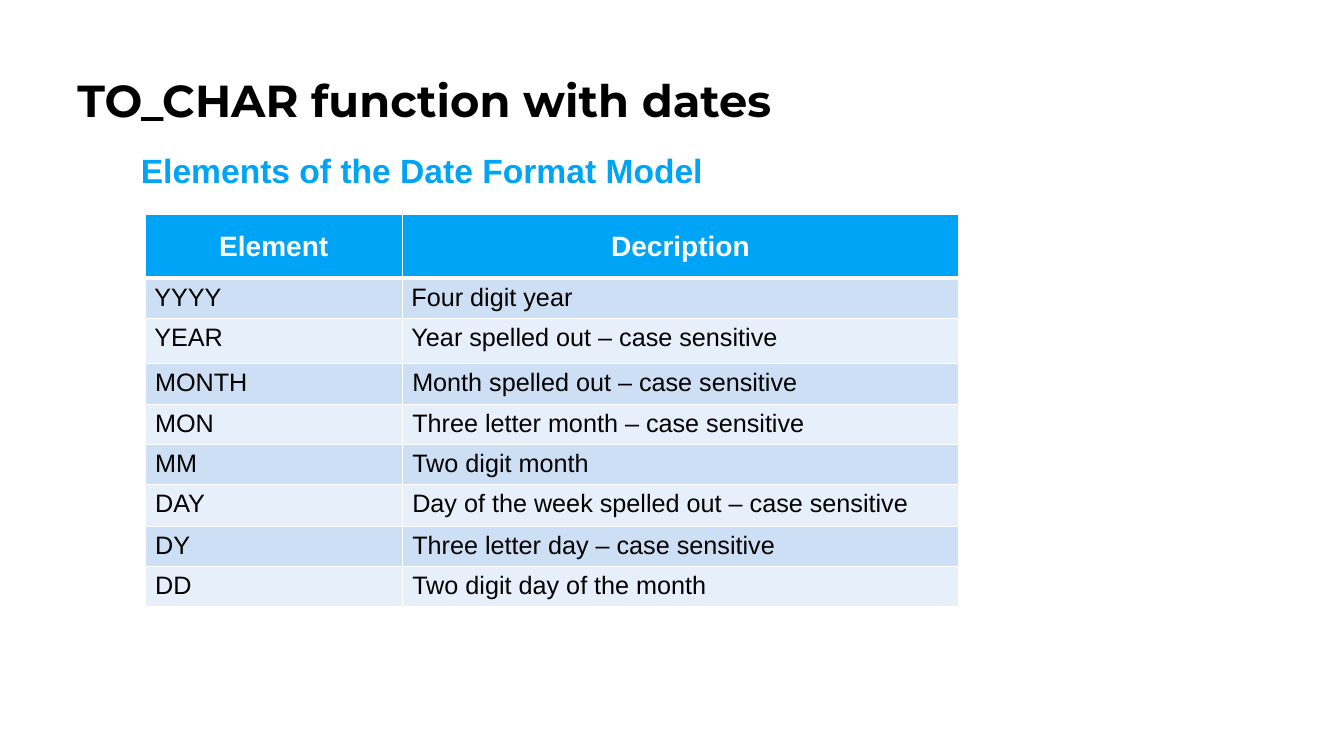
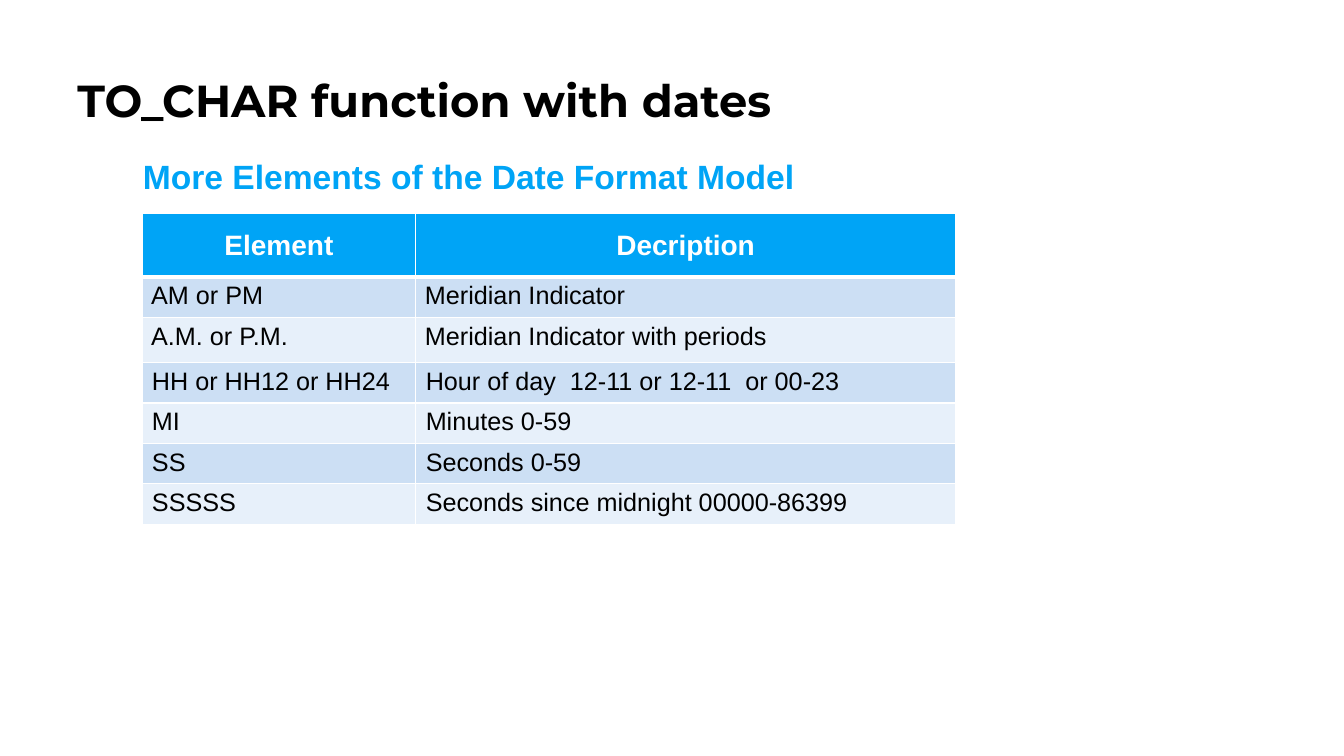
"""Build two slides listing the date format elements of TO_CHAR."""
import pptx
import pptx.dml.color
import pptx.enum.text
import pptx.oxml
import pptx.oxml.ns
import pptx.util
from pptx.util import Cm

COLORS = {"title": "000000", "accent": "00A4F6", "header_text": "FFFFFF", "body": "000000",
          "border": "FFFFFF", "band_dark": "CCDFF4", "band_light": "E7F0FA"}
TITLE = "TO_CHAR function with dates"
TITLE_BOX = (1.7, 1.7, 30.56, 1.63)
HEADER = ("Element", "Decription")
ROW_HEIGHTS = (1.6, 0.96, 1.14, 0.96, 0.96, 0.96, 1.04, 1.02, 0.98)
SLIDES = [
    {
        "subtitle": "Elements of the Date Format Model",
        "subtitle_box": (3.3, 3.56, 30.56, 1.27),
        "table_corner": (3.66, 5.41),
        "column_widths": (6.48, 14.02),
        "rows": [
            ("YYYY", "Four digit year"),
            ("YEAR", "Year spelled out – case sensitive"),
            ("MONTH", "Month spelled out – case sensitive"),
            ("MON", "Three letter month – case sensitive"),
            ("MM", "Two digit month"),
            ("DAY", "Day of the week spelled out – case sensitive"),
            ("DY", "Three letter day – case sensitive"),
            ("DD", "Two digit day of the month"),
        ],
    },
    {
        "subtitle": "More Elements of the Date Format Model",
        "subtitle_box": (3.35, 3.71, 20.5, 1.27),
        "table_corner": (3.58, 5.38),
        "column_widths": (6.9, 13.6),
        "rows": [
            ("AM or PM", "Meridian Indicator"),
            ("A.M. or P.M.", "Meridian Indicator with periods"),
            ("HH or HH12 or HH24", "Hour of day  12-11 or 12-11  or 00-23"),
            ("MI", "Minutes 0-59"),
            ("SS", "Seconds 0-59"),
            ("SSSSS", "Seconds since midnight 00000-86399"),
        ],
    },
]


def rgb(name):
    return pptx.dml.color.RGBColor.from_string(COLORS[name])


def style_font(paragraph, name, size, color, bold):
    font = paragraph.font
    font.name, font.size, font.bold = name, pptx.util.Pt(size), bold
    font.color.rgb = rgb(color)


def add_text(slide, box, text, name, size, color):
    frame = slide.shapes.add_textbox(*map(Cm, box)).text_frame
    frame.word_wrap = True
    paragraph = frame.paragraphs[0]
    paragraph.text = text
    style_font(paragraph, name, size, color, True)
    return paragraph


def add_borders(cell, top, bottom):
    properties = cell._tc.get_or_add_tcPr()
    for side, points in (("L", 1), ("R", 1), ("T", top), ("B", bottom)):
        properties.append(pptx.oxml.parse_xml(
            f'<a:ln{side} {pptx.oxml.ns.nsdecls("a")} w="{pptx.util.Pt(points)}"><a:solidFill>'
            f'<a:srgbClr val="{COLORS["border"]}"/></a:solidFill></a:ln{side}>'))


def style_cell(cell, text, row_index):
    cell.text = text
    paragraph = cell.text_frame.paragraphs[0]
    is_header = row_index == 0
    add_borders(cell, 3 if row_index == 1 else 1, 3 if is_header else 1)
    cell.margin_left = cell.margin_right = Cm(0.23 if row_index <= 2 else 0.25)
    cell.fill.solid()
    if is_header:
        fill = "accent"
        cell.vertical_anchor = pptx.enum.text.MSO_ANCHOR.MIDDLE
        paragraph.alignment = pptx.enum.text.PP_ALIGN.CENTER
        style_font(paragraph, "Arial", 20, "header_text", True)
    else:
        fill = "band_dark" if row_index % 2 else "band_light"
        style_font(paragraph, "Arial", 18, "body", False)
    cell.fill.fore_color.rgb = rgb(fill)


def add_element_table(slide, corner, column_widths, rows):
    rows = [HEADER, *rows]
    heights = ROW_HEIGHTS[:len(rows)]
    table = slide.shapes.add_table(len(rows), len(HEADER), *map(Cm, corner),
                                   Cm(sum(column_widths)), Cm(sum(heights))).table
    table.horz_banding = False
    for column, width in zip(table.columns, column_widths):
        column.width = Cm(width)
    for row_index, (row, height, texts) in enumerate(zip(table.rows, heights, rows)):
        row.height = Cm(height)
        for cell, text in zip(row.cells, texts):
            style_cell(cell, text, row_index)


def main():
    presentation = pptx.Presentation()
    presentation.slide_width, presentation.slide_height = Cm(33.87), Cm(19.05)
    for content in SLIDES:
        slide = presentation.slides.add_slide(presentation.slide_layouts[6])
        add_text(slide, TITLE_BOX, TITLE, "Montserrat", 32, "title")
        subtitle = add_text(slide, content["subtitle_box"], content["subtitle"],
                            "Arial", 24, "accent")
        subtitle.line_spacing = 1.1
        subtitle.space_after = pptx.util.Pt(6)
        add_element_table(slide, content["table_corner"], content["column_widths"],
                          content["rows"])
    presentation.save("out.pptx")


if __name__ == "__main__":
    main()
